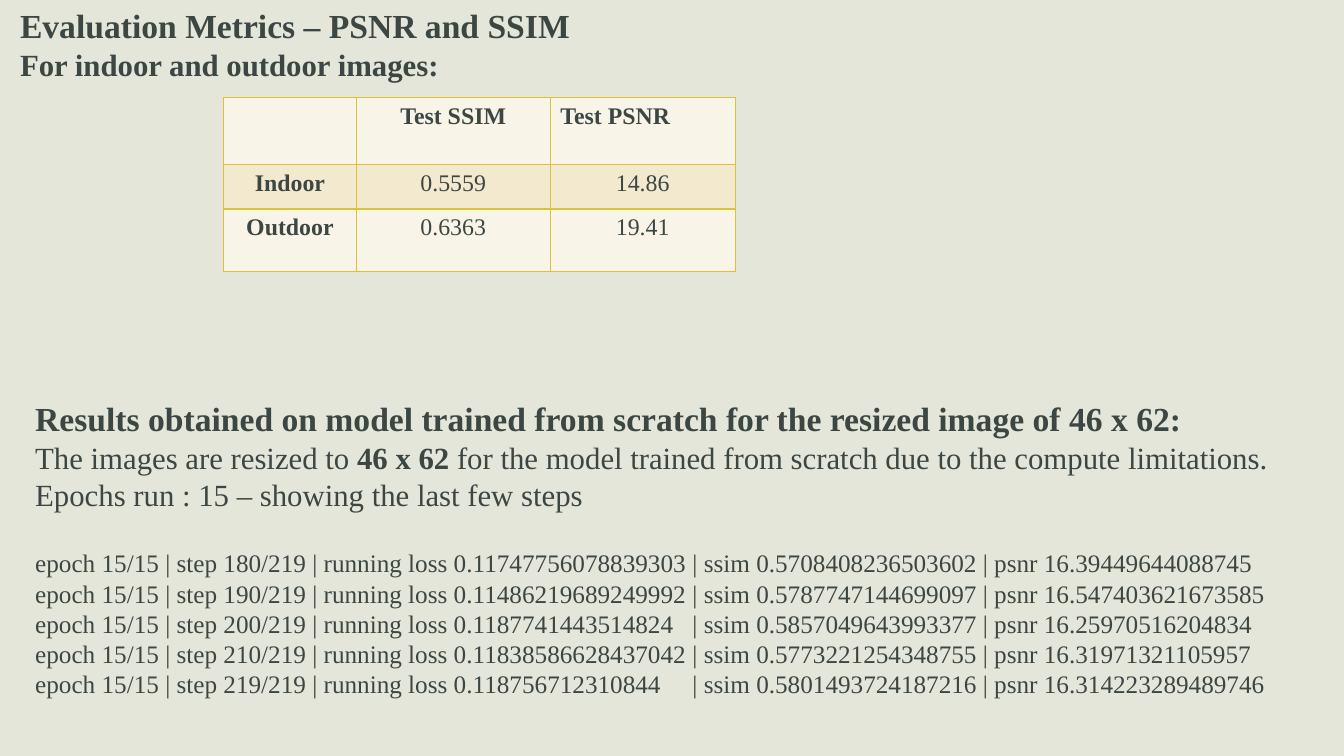
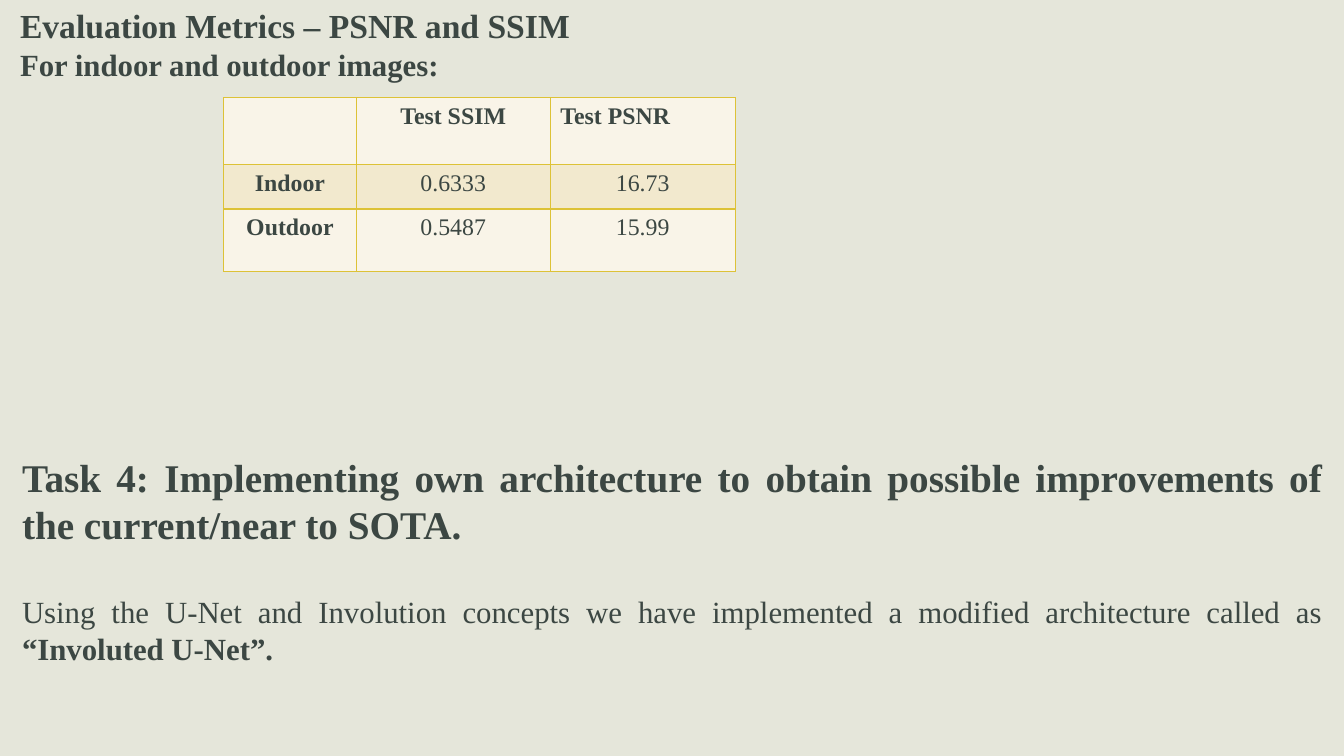
from lxml.etree import SubElement
from pptx import Presentation
from pptx.dml.color import RGBColor
from pptx.enum.text import MSO_AUTO_SIZE, PP_ALIGN
from pptx.oxml.ns import qn
from pptx.util import Inches, Pt

HUES = {"page": "E5E6DA", "ink": "3C4743", "line": "DDC237",
        "pale": "F9F4E8", "band": "F2E9CE"}
FONT = "Times New Roman"
LEFT, MID, JUST = PP_ALIGN.LEFT, PP_ALIGN.CENTER, PP_ALIGN.JUSTIFY

deck = Presentation()
deck.slide_width, deck.slide_height = Inches(13.33), Inches(7.5)
col, row = deck.slide_width / 100, deck.slide_height / 100
back = deck.slide_master.background.fill
back.solid()
back.fore_color.rgb = RGBColor.from_string(HUES["page"])


def write(frame, text, size=22, bold=False, align=LEFT, gap=0, tab=0):
    para = frame.paragraphs[0]
    if para.runs:
        para = frame.add_paragraph()
    para.alignment = align
    if gap:
        para.space_before = Pt(gap)
    if tab:
        stops = SubElement(para._p.get_or_add_pPr(), qn("a:tabLst"))
        SubElement(stops, qn("a:tab"), pos=str(int(tab * col)), algn="l")
    for i, part in enumerate(text.split("**")):
        if part:
            run = para.add_run()
            run.text = part
            run.font.name, run.font.size = FONT, Pt(size)
            run.font.bold = bold or i % 2 == 1
            run.font.color.rgb = RGBColor.from_string(HUES["ink"])


def frame_at(slide, x, y, w, h):
    box = slide.shapes.add_textbox(int(x * col), int(y * row), int(w * col), int(h * row))
    frame = box.text_frame
    frame.word_wrap = True
    frame.auto_size = MSO_AUTO_SIZE.SHAPE_TO_FIT_TEXT
    return frame


wides = [9.85, 14.45, 13.75]
highs = [8.85, 5.87, 8.27]
scores = [
    [("0.5559", "14.86"), ("0.6363", "19.41")],
    [("0.6333", "16.73"), ("0.5487", "15.99")],
]
pages = []
for indoor, outdoor in scores:
    slide = deck.slides.add_slide(deck.slide_layouts[6])
    pages.append(slide)
    head = frame_at(slide, 0.75, 0, 66.7, 11.7)
    write(head, "Evaluation Metrics – PSNR and SSIM", size=24, bold=True)
    write(head, "For indoor and outdoor images:", bold=True)

    grid = slide.shapes.add_table(3, 3, int(16.65 * col), int(12.93 * row),
                                  int(sum(wides) * col), int(sum(highs) * row)).table
    grid.first_row = grid.horz_banding = False
    for c, wide in enumerate(wides):
        grid.columns[c].width = int(wide * col)
    cells = [("", "Test SSIM", "Test PSNR"), ("Indoor", *indoor), ("Outdoor", *outdoor)]
    for r, texts in enumerate(cells):
        grid.rows[r].height = int(highs[r] * row)
        for c, text in enumerate(texts):
            cell = grid.cell(r, c)
            for side in ("lnL", "lnR", "lnT", "lnB"):
                edge = SubElement(cell._tc.get_or_add_tcPr(), qn("a:" + side), w=str(Pt(1)))
                fill = SubElement(edge, qn("a:solidFill"))
                SubElement(fill, qn("a:srgbClr"), val=HUES["line"])
            cell.fill.solid()
            cell.fill.fore_color.rgb = RGBColor.from_string(HUES["band" if r == 1 else "pale"])
            write(cell.text_frame, text, size=17, bold=r == 0 or c == 0,
                  align=LEFT if (r, c) == (0, 2) else MID)

first, last = pages

body = frame_at(first, 1.88, 52, 97.45, 41.73)
write(body, "Results obtained on model trained from scratch for the resized image of 46 x 62:",
      size=24, bold=True, align=JUST)
write(body, "The images are resized to **46 x 62** for the model trained from scratch "
      "due to the compute limitations.", align=JUST)
write(body, "Epochs run : 15 – showing the last few steps", align=JUST)
steps = [
    (180, "0.11747756078839303", "0.5708408236503602", "16.39449644088745"),
    (190, "0.11486219689249992", "0.5787747144699097", "16.547403621673585"),
    (200, "0.1187741443514824", "0.5857049643993377", "16.25970516204834"),
    (210, "0.11838586628437042", "0.5773221254348755", "16.31971321105957"),
    (219, "0.118756712310844", "0.5801493724187216", "16.314223289489746"),
]
for i, (step, loss, ssim, psnr) in enumerate(steps):
    write(body, f"epoch 15/15 | step {step}/219 | running loss {loss}\t| ssim {ssim} | psnr {psnr}",
          size=18, gap=0 if i else 25.3, tab=48.9)

body = frame_at(last, 0.9, 59.33, 98.2, 30.13)
write(body, "Task 4: Implementing own architecture to obtain possible improvements of "
      "the current/near to SOTA.", size=28, bold=True, align=JUST)
write(body, "Using the U-Net and Involution concepts we have implemented a modified "
      "architecture called as **“Involuted U-Net”.**", align=JUST, gap=32.2)

deck.save("out.pptx")
